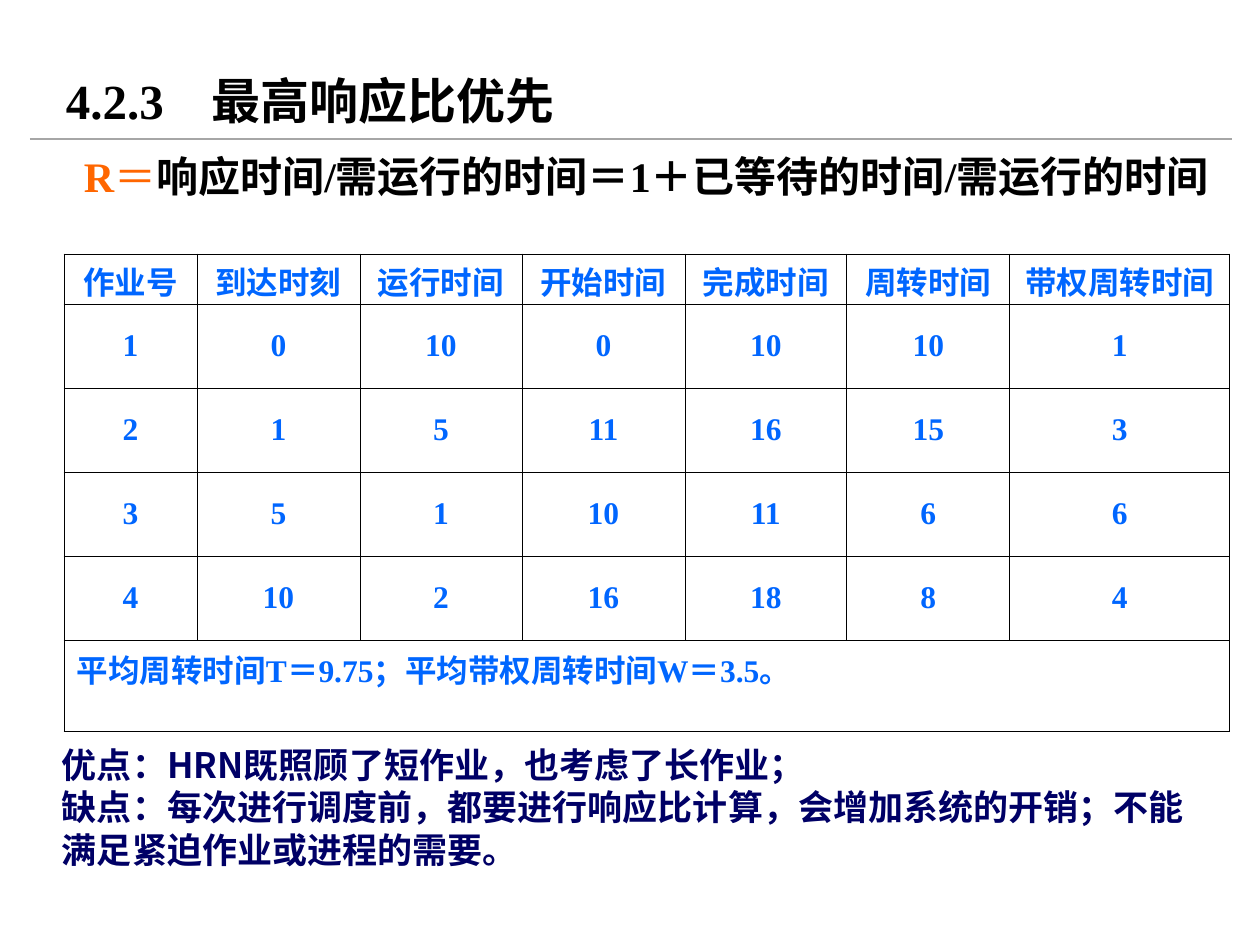
from lxml.etree import SubElement
from pptx import Presentation
from pptx.dml.color import RGBColor
from pptx.enum.shapes import MSO_CONNECTOR
from pptx.enum.text import MSO_ANCHOR, MSO_AUTO_SIZE, PP_ALIGN
from pptx.oxml import parse_xml
from pptx.oxml.ns import nsdecls, qn
from pptx.util import Pt

PX = 914400 // 126
LATIN, HAN = "Times New Roman", "Noto Sans CJK SC"
COLORS = {
    "ink": "000000",
    "rule": "A6A6A6",
    "ratio": "FF6600",
    "data": "0066FF",
    "verdict": "000066",
}
COLUMN_WIDTHS = [133, 163, 162, 163, 162, 163, 220]
ROW_HEIGHTS = [50, 84, 84, 84, 84, 92]
HEADINGS = ["作业号", "到达时刻", "运行时间", "开始时间", "完成时间", "周转时间", "带权周转时间"]
JOBS = [
    [1, 0, 10, 0, 10, 10, 1],
    [2, 1, 5, 11, 16, 15, 3],
    [3, 5, 1, 10, 11, 6, 6],
    [4, 10, 2, 16, 18, 8, 4],
]
AVERAGES = "平均周转时间T＝9.75；平均带权周转时间W＝3.5。"
FORMULA = "响应时间/需运行的时间＝1＋已等待的时间/需运行的时间"
VERDICTS = [
    "优点：HRN既照顾了短作业，也考虑了长作业；",
    "缺点：每次进行调度前，都要进行响应比计算，会增加系统的开销；不能满足紧迫作业或进程的需要。",
]


def px(*lengths):
    """Turn pixel lengths into EMU."""
    return [length * PX for length in lengths]


def rgb(name):
    """Look up a named colour."""
    return RGBColor.from_string(COLORS[name])


def add_run(paragraph, text, size, color, bold=True, latin=LATIN):
    """Append one formatted run to a paragraph."""
    run = paragraph.add_run()
    run.text = text
    font = run.font
    font.size, font.bold, font.name = Pt(size), bold, latin
    font.color.rgb = rgb(color)
    SubElement(font._element, qn("a:ea")).set("typeface", HAN)


def set_frame(frame):
    """Give a text frame the slide's wrapping, anchor and insets."""
    frame.word_wrap = True
    frame.auto_size = MSO_AUTO_SIZE.NONE
    frame.vertical_anchor = MSO_ANCHOR.TOP
    frame.margin_left, frame.margin_top, frame.margin_right, frame.margin_bottom = px(13, 11, 13, 1)


def set_line(paragraph, size):
    """Align a paragraph left with lines of 1.2 times the text size."""
    paragraph.alignment = PP_ALIGN.LEFT
    paragraph.line_spacing = Pt(size * 1.2)


def set_title(slide, number, name):
    """Place the heading, with a tab between its number and name."""
    title = slide.shapes.title
    title.left, title.top, title.width, title.height = px(53, 60, 517, 72)
    set_frame(title.text_frame)
    paragraph = title.text_frame.paragraphs[0]
    set_line(paragraph, 28)
    stops = SubElement(paragraph._p.get_or_add_pPr(), qn("a:tabLst"))
    SubElement(stops, qn("a:tab"), pos=str(146 * PX), algn="l")
    add_run(paragraph, f"{number}\t{name}", 28, "ink")


def add_rule(slide):
    """Draw the thin line under the heading."""
    rule = slide.shapes.add_connector(MSO_CONNECTOR.STRAIGHT, *px(30, 139, 1232, 139))
    rule.line.color.rgb = rgb("rule")
    rule.line.width = Pt(0.75)
    SubElement(rule._element.spPr, qn("a:effectLst"))


def add_text(slide, box, size, paragraphs):
    """Add a text box from lists of runs, one list a paragraph."""
    frame = slide.shapes.add_textbox(*px(*box)).text_frame
    set_frame(frame)
    for index, runs in enumerate(paragraphs):
        paragraph = frame.add_paragraph() if index else frame.paragraphs[0]
        set_line(paragraph, size)
        for text, color, bold, latin in runs:
            add_run(paragraph, text, size, color, bold, latin)


def add_borders(cell):
    """Outline a cell with thin black lines."""
    properties = cell._tc.get_or_add_tcPr()
    for index, side in enumerate("LRTB"):
        properties.insert(index, parse_xml(
            f'<a:ln{side} {nsdecls("a")} w="5715"><a:solidFill>'
            f'<a:srgbClr val="{COLORS["ink"]}"/></a:solidFill></a:ln{side}>'))


def fill_cell(cell, text, align, anchor):
    """Write one table cell."""
    cell.vertical_anchor = anchor
    cell.margin_left, cell.margin_right = px(13, 13)
    cell.margin_top, cell.margin_bottom = px(6, 6)
    paragraph = cell.text_frame.paragraphs[0]
    paragraph.alignment = align
    add_run(paragraph, text, 18, "data")


def add_schedule(slide):
    """Add the job table with its merged row of averages."""
    box = px(64, 254, sum(COLUMN_WIDTHS), sum(ROW_HEIGHTS))
    table = slide.shapes.add_table(len(ROW_HEIGHTS), len(COLUMN_WIDTHS), *box).table
    table.first_row = table.horz_banding = False
    for column, width in zip(table.columns, px(*COLUMN_WIDTHS)):
        column.width = width
    for row, height in zip(table.rows, px(*ROW_HEIGHTS)):
        row.height = height
    for cell in table.iter_cells():
        cell.fill.background()
        add_borders(cell)
    for row, values in enumerate([HEADINGS, *JOBS]):
        for column, value in enumerate(values):
            cell = table.cell(row, column)
            fill_cell(cell, str(value), PP_ALIGN.CENTER, MSO_ANCHOR.MIDDLE)
            if row == 0:
                cell.margin_top = cell.margin_bottom = 0
                cell.vertical_anchor = MSO_ANCHOR.BOTTOM
    last = len(ROW_HEIGHTS) - 1
    averages = table.cell(last, 0)
    averages.merge(table.cell(last, len(COLUMN_WIDTHS) - 1))
    fill_cell(averages, AVERAGES, PP_ALIGN.LEFT, MSO_ANCHOR.TOP)


def main():
    """Build and save the slide."""
    deck = Presentation()
    deck.slide_width, deck.slide_height = px(1260, 945)
    slide = deck.slides.add_slide(deck.slide_layouts[5])
    add_rule(slide)
    set_title(slide, "4.2.3", "最高响应比优先")
    add_text(slide, (71, 140, 1186, 113), 24, [[
        ("R", "ratio", True, LATIN),
        ("＝", "ratio", False, LATIN),
        (FORMULA, "ink", True, LATIN),
    ]])
    add_schedule(slide)
    add_text(slide, (49, 733, 1176, 139), 20,
             [[(verdict, "verdict", True, HAN)] for verdict in VERDICTS])
    deck.save("out.pptx")


if __name__ == "__main__":
    main()
